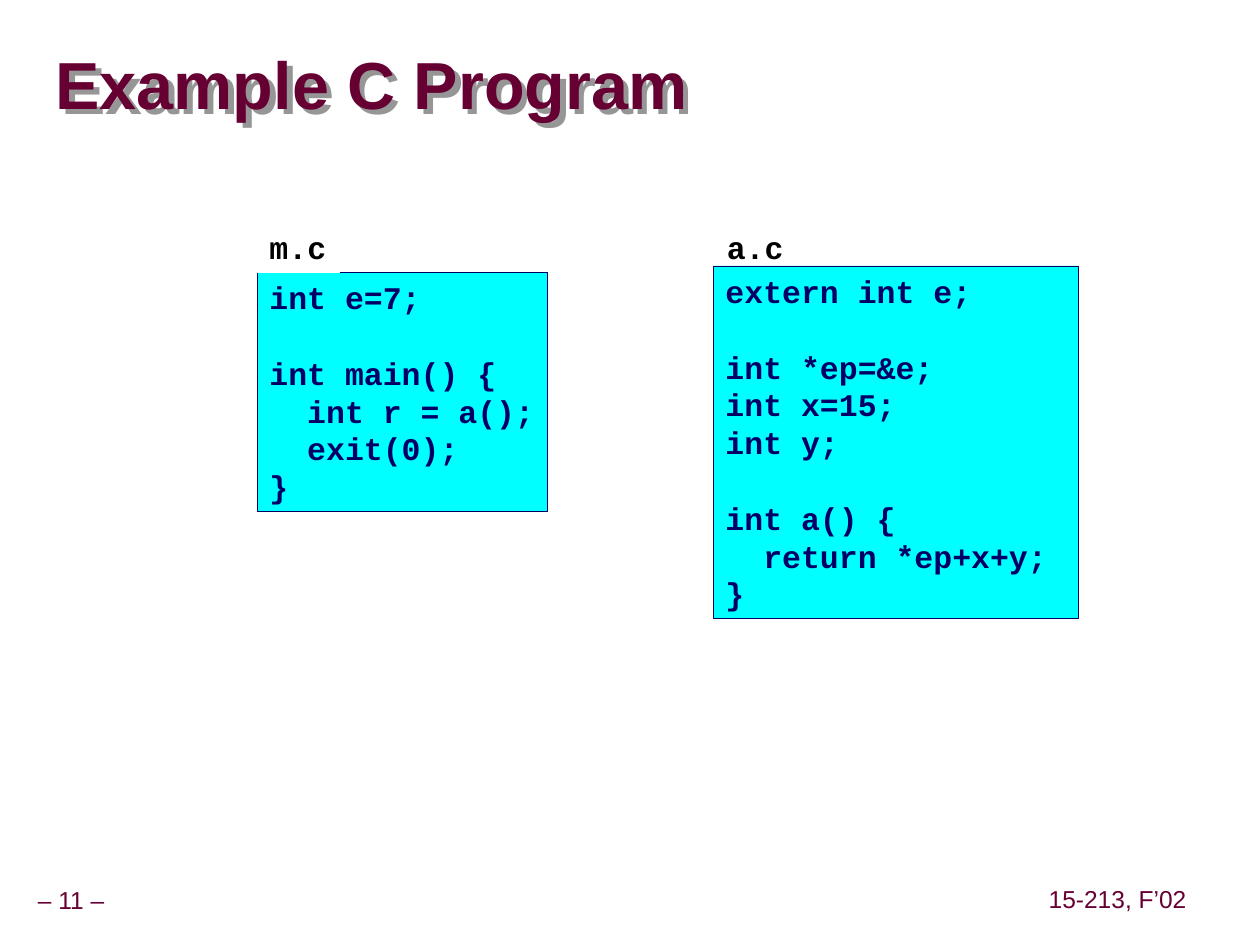
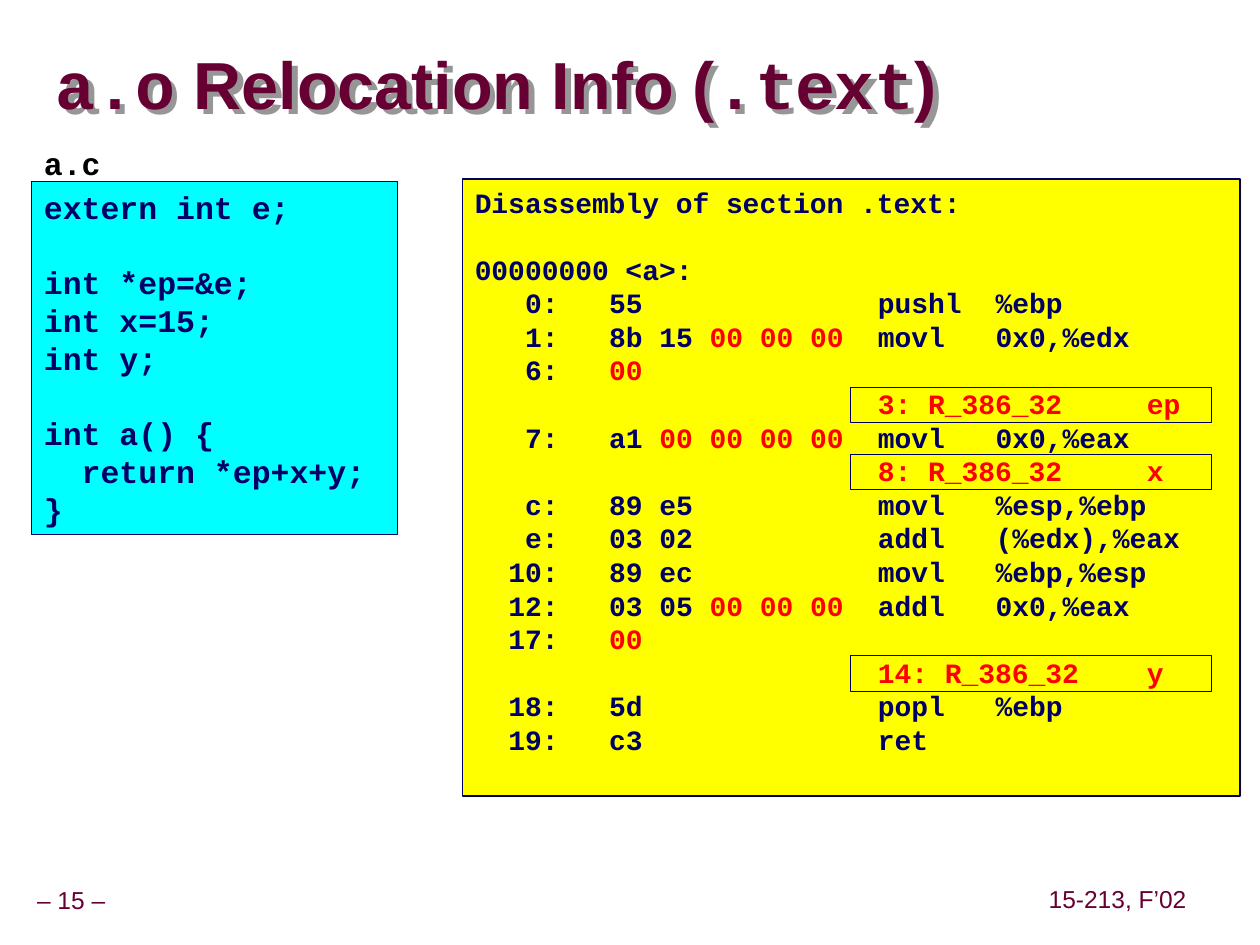
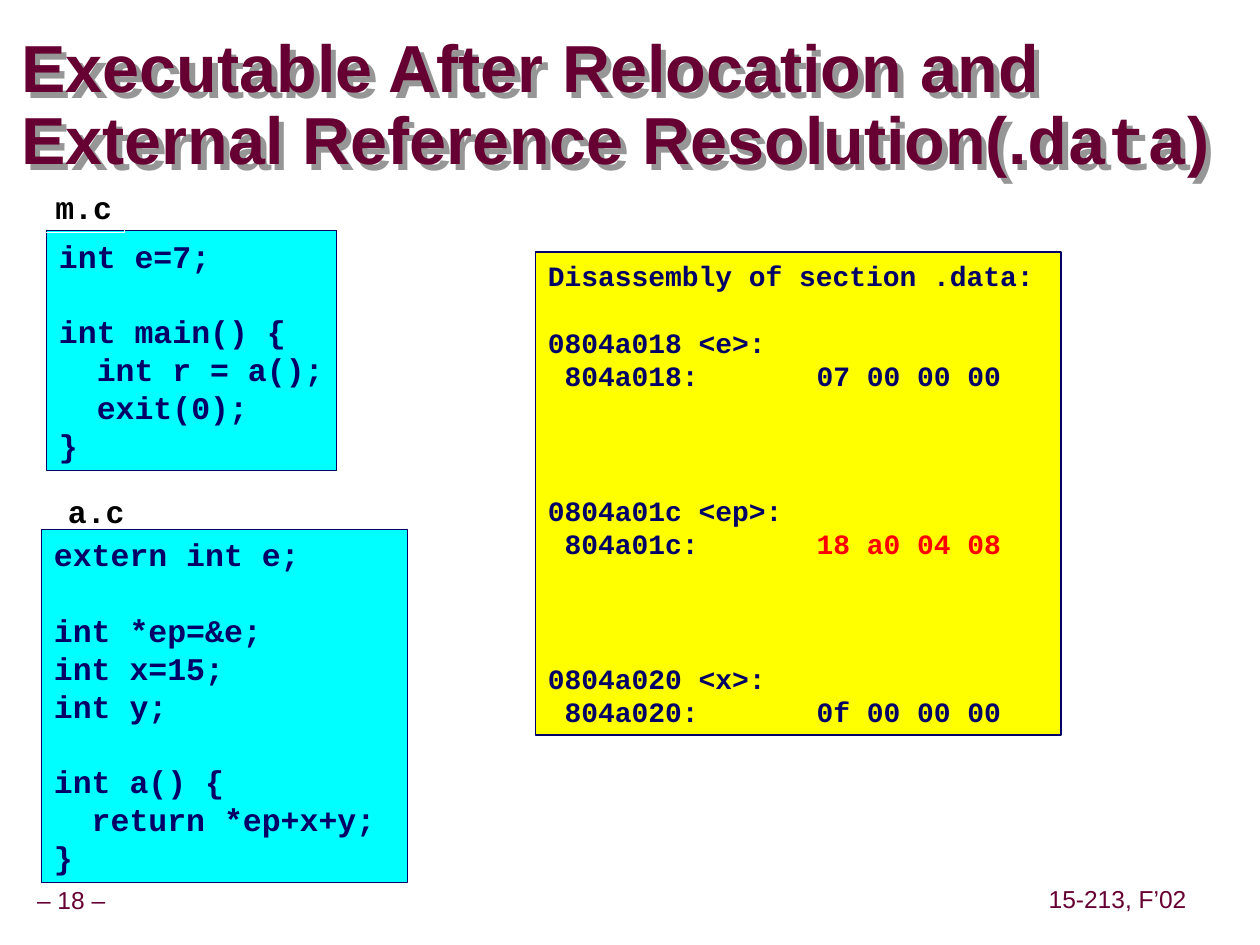
from pptx import Presentation, util as u
from pptx.dml.color import RGBColor
from pptx.enum import shapes, text
from pptx.oxml import parse_xml
from pptx.oxml.ns import nsdecls

# Shared look
SANS, MONO = "Arial", "Courier New"
MAROON, NAVY, RED, BLACK, WHITE = "660033", "000066", "FF0000", "000000", "FFFFFF"
CYAN, YELLOW, GREY = "00FFFF", "FFFF00", "969696"
COURSE = "15-213, F’02"
PITCH = 1.2          # line height as a share of the font size
CHAR = 0.6           # character width of the code font, same unit
PAD_X, PAD_Y = 0.1, 0.05

# Listings: a tab moves to the next column stop, | switches red on and off
M_C = ["int e=7;", "", "int main() {", "\tint r = a();", "\texit(0);", "}"]
A_C = ["extern int e;", "", "int *ep=&e;", "int x=15;", "int y;", "",
       "int a() {", "\treturn *ep+x+y;", "}"]
TEXT_SECTION = [
    "Disassembly of section .text:", "", "00000000 <a>:",
    "\t0:\t55\tpushl\t%ebp",
    "\t1:\t8b 15 |00 00 00|\tmovl\t0x0,%edx",
    "\t6:\t|00",
    "\t\t\t|3: R_386_32\tep",
    "\t7:\ta1 |00 00 00 00|\tmovl\t0x0,%eax",
    "\t\t\t|8: R_386_32\tx",
    "\tc:\t89 e5\tmovl\t%esp,%ebp",
    "\te:\t03 02\taddl\t(%edx),%eax",
    "\t10:\t89 ec\tmovl\t%ebp,%esp",
    "\t12:\t03 05 |00 00 00|\taddl\t0x0,%eax",
    "\t17:\t|00",
    "\t\t\t|14: R_386_32\ty",
    "\t18:\t5d\tpopl\t%ebp",
    "\t19:\tc3\tret", ""]
DATA_SECTION = [
    "Disassembly of section .data:", "",
    "0804a018 <e>:", "\t804a018:\t07 00 00 00", "", "", "",
    "0804a01c <ep>:", "\t804a01c:\t|18 a0 04 08", "", "", "",
    "0804a020 <x>:", "\t804a020:\t0f 00 00 00"]

# Column stops in characters, with their alignment
SOURCE_STOPS = [(2, "l")]
TEXT_STOPS = [(5, "r"), (8, "l"), (24, "l"), (31, "l"), (40, "l")]
DATA_STOPS = [(1, "l"), (16, "l")]

# Box kinds: size, fill, line colour, line width, text colour, stops
LABEL = (18, None, WHITE, 0.25, BLACK, [])
SOURCE = (18, CYAN, NAVY, 0.25, NAVY, SOURCE_STOPS)
TEXT_DUMP = (16, YELLOW, NAVY, 1, NAVY, TEXT_STOPS)
DATA_DUMP = (16, YELLOW, NAVY, 1, NAVY, DATA_STOPS)

# Slides: page, title (| switches the code font), title place,
# boxes as (kind, left, top, width, lines)
TITLE_BOX = (0.44, 0.27, 9.53, 0.85)
SLIDES = [
    (11, "Example C Program", TITLE_BOX, [
        (SOURCE, 2.04, 2.16, 2.3, M_C),
        (LABEL, 2.04, 1.76, 0.65, ["m.c"]),
        (LABEL, 5.67, 1.76, 0.65, ["a.c"]),
        (SOURCE, 5.66, 2.11, 2.9, A_C)]),
    (15, "|a.o| Relocation Info (|.text|)", TITLE_BOX, [
        (LABEL, 0.25, 1.09, 0.65, ["a.c"]),
        (SOURCE, 0.25, 1.44, 2.9, A_C),
        (TEXT_DUMP, 3.67, 1.42, 6.17, TEXT_SECTION)]),
    (18, "Executable After Relocation and \nExternal Reference Resolution(.|data|)",
     (0.17, 0.25, 9.51, 1.2), [
        (DATA_DUMP, 4.25, 2, 4.17, DATA_SECTION),
        (SOURCE, 0.37, 1.83, 2.3, M_C),
        (LABEL, 0.34, 1.44, 0.65, ["m.c"]),
        (LABEL, 0.44, 3.86, 0.65, ["a.c"]),
        (SOURCE, 0.33, 4.2, 2.9, A_C)]),
]


def rgb(hex_color):
    return RGBColor.from_string(hex_color)


def inches(*values):
    return [u.Inches(v) for v in values]


def add_run(p, words, font, size, color, bold=False):
    r = p.add_run()
    r.text = words
    r.font.name, r.font.size, r.font.bold = font, u.Pt(size), bold
    r.font.color.rgb = rgb(color)


def set_frame(tf, pad_x, pad_y, anchor, wrap=True, right=None):
    tf.auto_size = text.MSO_AUTO_SIZE.NONE
    tf.word_wrap, tf.vertical_anchor = wrap, anchor
    tf.margin_left = u.Inches(pad_x)
    tf.margin_right = u.Inches(pad_x if right is None else right)
    tf.margin_top = tf.margin_bottom = u.Inches(pad_y)


def add_rect(s, box, fill, line, width):
    sp = s.shapes.add_shape(shapes.MSO_SHAPE.RECTANGLE, *inches(*box))
    sp.shadow.inherit = False
    if fill:
        sp.fill.solid()
        sp.fill.fore_color.rgb = rgb(fill)
    else:
        sp.fill.background()
    sp.line.color.rgb = rgb(line)
    sp.line.width = u.Pt(width)
    return sp


def set_stops(p, stops, size):
    tabs = "".join(f'<a:tab pos="{u.Pt(col * CHAR * size)}" algn="{algn}"/>'
                   for col, algn in stops)
    p._p.get_or_add_pPr().append(
        parse_xml(f'<a:tabLst {nsdecls("a")}>{tabs}</a:tabLst>'))


def add_listing(s, kind, left, top, width, lines):
    size, fill, line, line_width, color, stops = kind
    pitch = PITCH * size
    box = left, top, width, len(lines) * pitch / 72 + 2 * PAD_Y
    tf = add_rect(s, box, fill, line, line_width).text_frame
    set_frame(tf, PAD_X, PAD_Y, text.MSO_ANCHOR.TOP, right=0)
    p, gap = None, 0
    for words in lines:
        if not words:                 # an empty line becomes paragraph spacing
            gap += pitch
            continue
        p = tf.add_paragraph() if p else tf.paragraphs[0]
        p.alignment = text.PP_ALIGN.LEFT
        p.line_spacing, p.space_before = u.Pt(pitch), u.Pt(gap)
        gap = 0
        if stops:
            set_stops(p, stops, size)
        for i, part in enumerate(words.split("|")):
            if part:
                add_run(p, part, MONO, size, RED if i % 2 else color, True)
    # Frames around relocation entries
    for row, words in enumerate(lines):
        if "R_386" in words:
            add_rect(s, (6.75, top + PAD_Y + row * pitch / 72, 2.86, 0.28),
                     None, NAVY, 0.25)


def add_title(s, title, box):
    sp = s.shapes.title
    sp.left, sp.top, sp.width, sp.height = inches(*box)
    set_frame(sp.text_frame, 0, 0, text.MSO_ANCHOR.MIDDLE)
    p = sp.text_frame.paragraphs[0]
    p.alignment, p.line_spacing = text.PP_ALIGN.LEFT, 0.9
    for i, part in enumerate(title.split("|")):
        for j, words in enumerate(part.split("\n")):
            if j:
                p.add_line_break()
            if words:
                add_run(p, words, MONO if i % 2 else SANS, 38, MAROON, True)
    sp._element.spPr.append(parse_xml(
        f'<a:effectLst {nsdecls("a")}><a:outerShdw dist="{u.Pt(4.5)}" dir="2700000">'
        f'<a:srgbClr val="{GREY}"/></a:outerShdw></a:effectLst>'))


def add_footer(s, page):
    for words, box in ((f"– {page} –", (-0.09, 7, 1.31, 0.31)),
                       (COURSE, (8.27, 6.99, 1.2, 0.31))):
        tf = s.shapes.add_textbox(*inches(*box)).text_frame
        set_frame(tf, 0.05, 0.05, text.MSO_ANCHOR.MIDDLE, wrap=False)
        p = tf.paragraphs[0]
        p.alignment, p.line_spacing = text.PP_ALIGN.CENTER, 0.9
        add_run(p, words, SANS, 14, MAROON)


def main():
    prs = Presentation()
    prs.slide_width, prs.slide_height = inches(10, 7.5)
    for page, title, title_box, boxes in SLIDES:
        s = prs.slides.add_slide(prs.slide_layouts[5])
        add_footer(s, page)
        add_title(s, title, title_box)
        for box in boxes:
            add_listing(s, *box)
    prs.save("out.pptx")


if __name__ == "__main__":
    main()
